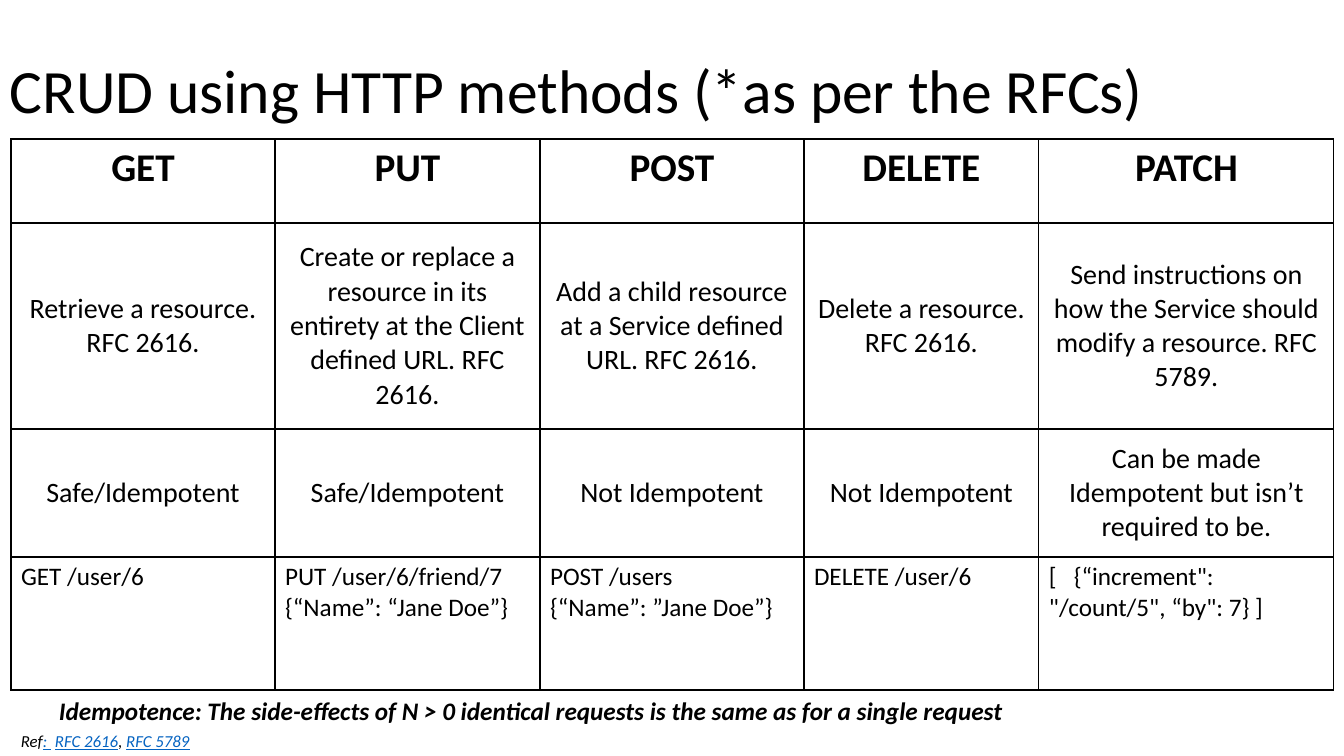
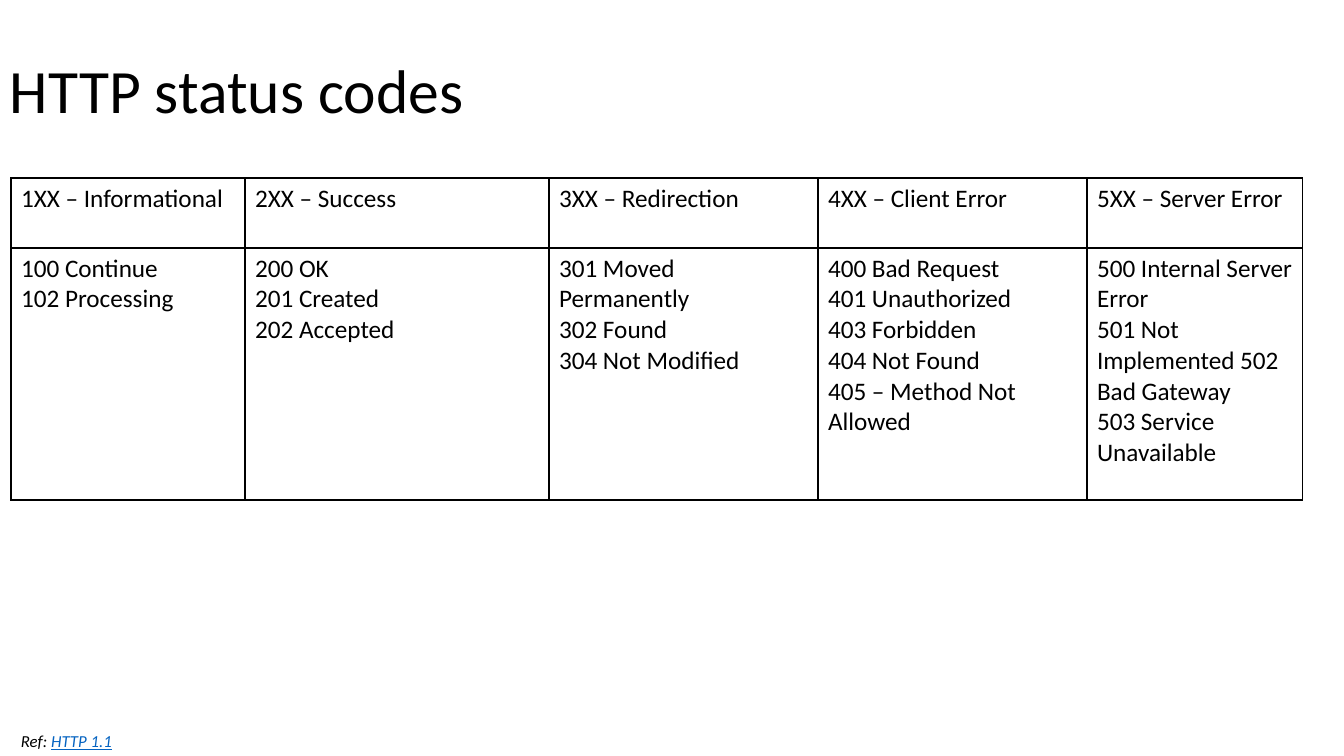
"""Build two slides on HTTP methods and HTTP status codes."""
from pptx import Presentation
from pptx.dml.color import RGBColor
from pptx.enum.text import MSO_ANCHOR, PP_ALIGN
from pptx.oxml import parse_xml
from pptx.oxml.ns import nsdecls
from pptx.util import Emu, Pt

PX = 12192000 / 1344
SLIDE_W, SLIDE_H = 1344, 756
MARGIN = 11

THEME = {
    "font": "Calibri", "ink": "000000", "link": "0563C1", "rule_pt": 1,
    "title": {"size": 44},
    "heading": {"size": 28, "bold": True},
    "body": {"size": 20},
    "small": {"size": 18},
    "note": {"size": 18, "bold": True, "italic": True},
    "ref": {"size": 12, "italic": True},
}
ROW_STYLES = {
    "heading": (PP_ALIGN.CENTER, MSO_ANCHOR.TOP),
    "body": (PP_ALIGN.CENTER, MSO_ANCHOR.MIDDLE),
    "small": (PP_ALIGN.LEFT, MSO_ANCHOR.TOP),
}
TITLE_BOX = (0, 40, SLIDE_W, 108)
REF_BOX = (MARGIN, 726, 956, 30)
NOTE_BOX = (49, 690, 1092, 40)

SLIDES = [
    {
        "title": "CRUD using HTTP methods (*as per the RFCs)",
        "top": 139,
        "cols": [264, 265, 264, 235, 295],
        "rows": [
            (84, "heading", ["GET", "PUT", "POST", "DELETE", "PATCH"]),
            (206, "body", [
                "Retrieve a resource. RFC 2616.",
                "Create or replace a resource in its entirety at the Client defined URL. RFC 2616.",
                "Add a child resource at a Service defined URL. RFC 2616.",
                "Delete a resource. RFC 2616.",
                "Send instructions on how the Service should modify a resource. RFC 5789.",
            ]),
            (128, "body", [
                "Safe/Idempotent", "Safe/Idempotent", "Not Idempotent", "Not Idempotent",
                "Can be made Idempotent but isn’t required to be.",
            ]),
            (133, "small", [
                "GET /user/6",
                "PUT /user/6/friend/7\n{“Name”: “Jane Doe”}",
                "POST /users\n{“Name”: ”Jane Doe”}",
                "DELETE /user/6",
                "[   {“increment\": \"/count/5\", “by\": 7} ]",
            ]),
        ],
        "ref": [("Ref", False), (": ", True), (" ", False), ("RFC 2616", True),
                (", ", False), ("RFC 5789", True)],
        "note": "Idempotence: The side-effects of N > 0 identical requests "
                "is the same as for a single request",
    },
    {
        "title": "HTTP status codes",
        "top": 178,
        "cols": [234, 304, 269, 269, 216],
        "rows": [
            (70, "small", ["1XX – Informational", "2XX – Success", "3XX – Redirection",
                           "4XX – Client Error", "5XX – Server Error"]),
            (252, "small", [
                "100 Continue\n102 Processing",
                "200 OK\n201 Created\n202 Accepted",
                "301 Moved Permanently\n302 Found\n304 Not Modified",
                "400 Bad Request\n401 Unauthorized\n403 Forbidden\n404 Not Found\n"
                "405 – Method Not Allowed",
                "500 Internal Server Error\n501 Not Implemented 502 Bad Gateway\n"
                "503 Service Unavailable",
            ]),
        ],
        "ref": [("Ref: ", False), ("HTTP 1.1", True)],
    },
]


def px(n):
    return Emu(round(n * PX))


def add_run(p, text, style, link=False):
    r = p.add_run()
    r.text = text
    fmt = {"name": THEME["font"], "bold": False, "underline": link, **THEME[style]}
    fmt["size"] = Pt(fmt["size"])
    for key, value in fmt.items():
        setattr(r.font, key, value)
    r.font.color.rgb = RGBColor.from_string(THEME["link" if link else "ink"])


def add_text(s, box, runs, style, anchor=MSO_ANCHOR.TOP, spacing=1.0):
    tf = s.shapes.add_textbox(*map(px, box)).text_frame
    tf.word_wrap = True
    tf.vertical_anchor = anchor
    p = tf.paragraphs[0]
    p.line_spacing = spacing
    for text, link in runs:
        add_run(p, text, style, link)


def set_borders(cell):
    tc_pr = cell._tc.get_or_add_tcPr()
    for i, side in enumerate("LRTB"):
        tc_pr.insert(i, parse_xml(
            f'<a:ln{side} {nsdecls("a")} w="{Pt(THEME["rule_pt"])}"><a:solidFill>'
            f'<a:srgbClr val="{THEME["ink"]}"/></a:solidFill></a:ln{side}>'))


def fill_cell(cell, text, style):
    align, cell.vertical_anchor = ROW_STYLES[style]
    cell.fill.background()
    set_borders(cell)
    tf = cell.text_frame
    for i, line in enumerate(text.split("\n")):
        p = tf.add_paragraph() if i else tf.paragraphs[0]
        p.alignment = align
        add_run(p, line, style)


def add_grid(s, top, cols, rows):
    height = sum(row[0] for row in rows)
    table = s.shapes.add_table(len(rows), len(cols), px(MARGIN), px(top),
                               px(sum(cols)), px(height)).table
    table.first_row = table.horz_banding = False
    for col, width in zip(table.columns, cols):
        col.width = px(width)
    for row, (row_height, style, texts) in zip(table.rows, rows):
        row.height = px(row_height)
        for cell, text in zip(row.cells, texts):
            fill_cell(cell, text, style)


def main():
    prs = Presentation()
    prs.slide_width, prs.slide_height = px(SLIDE_W), px(SLIDE_H)
    for data in SLIDES:
        s = prs.slides.add_slide(prs.slide_layouts[6])
        add_text(s, TITLE_BOX, [(data["title"], False)], "title", MSO_ANCHOR.MIDDLE, 0.9)
        add_grid(s, data["top"], data["cols"], data["rows"])
        add_text(s, REF_BOX, data["ref"], "ref")
        if "note" in data:
            add_text(s, NOTE_BOX, [(data["note"], False)], "note")
    prs.save("out.pptx")


if __name__ == "__main__":
    main()
